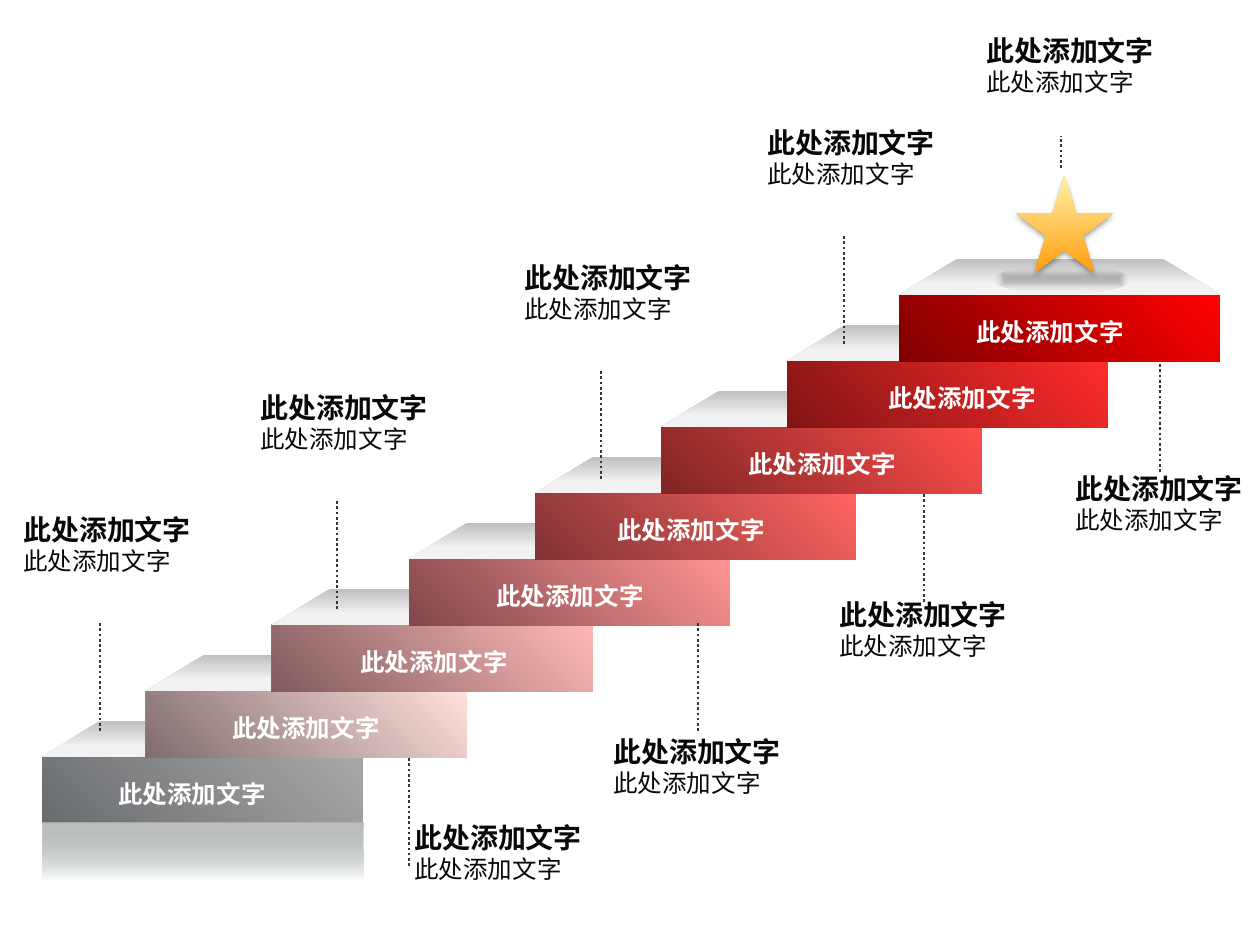
from lxml import etree
from pptx import Presentation
from pptx import util as u
from pptx.dml.color import RGBColor
from pptx.enum import dml, shapes, text
from pptx.oxml import parse_xml
from pptx.oxml.ns import qn

PX = 914400 / 126
NS = 'xmlns:a="http://schemas.openxmlformats.org/drawingml/2006/main"'
FONT = "Noto Sans CJK SC"
WORDS = "此处添加文字"
KIND = shapes.MSO_SHAPE
FACE = [(0, "BFBFBF"), (37, "D9D9D9"), (69, "F2F2F2")]


def px(n):
    return u.Emu(round(n * PX))


def hue(code):
    return RGBColor.from_string(code)


def grade(part, stops, angle=None):
    """Fill with (percent, colour[, alpha]) stops; no angle means centred."""
    marks = ""
    for at, code, *alpha in stops:
        clear = f'<a:alpha val="{alpha[0] * 1000}"/>' if alpha else ""
        marks += f'<a:gs pos="{at * 1000}"><a:srgbClr val="{code}">{clear}</a:srgbClr></a:gs>'
    if angle is None:
        way = ('<a:path path="shape"><a:fillToRect l="50000" t="50000" '
               'r="50000" b="50000"/></a:path>')
    else:
        way = f'<a:lin ang="{angle * 60000}" scaled="0"/>'
    fill = parse_xml(f'<a:gradFill {NS} rotWithShape="1"><a:gsLst>{marks}</a:gsLst>{way}</a:gradFill>')
    part._element.spPr.find(qn("a:prstGeom")).addnext(fill)


def form(slide, kind, box, stops, angle=None, flip=False):
    part = slide.shapes.add_shape(kind, *map(px, box))
    part.shadow.inherit = False
    part.line.fill.background()
    grade(part, stops, angle)
    if flip:
        part._element.spPr.find(qn("a:xfrm")).set("flipH", "1")
    return part


def write(slide, box, lines):
    """Each line is (size, bold, colour)."""
    frame = slide.shapes.add_textbox(*map(px, box)).text_frame
    frame.word_wrap = True
    frame.vertical_anchor = text.MSO_ANCHOR.MIDDLE
    for i, (size, bold, code) in enumerate(lines):
        para = frame.add_paragraph() if i else frame.paragraphs[0]
        run = para.add_run()
        run.text = WORDS
        font = run.font
        font.name, font.size, font.bold = FONT, u.Pt(size), bold
        font.color.rgb = hue(code)
        etree.SubElement(run._r.get_or_add_rPr(), qn("a:ea")).set("typeface", FONT)


def step(slide, x, y, stops):
    # Front, then the tread above it
    form(slide, KIND.RECTANGLE, (x, y, 321, 67), stops, 45, flip=True)
    tread = form(slide, KIND.TRAPEZOID, (x, y - 36, 322, 36), FACE, 90)
    tread.adjustments[0] = 1.609


def prize(slide, x, y):
    form(slide, KIND.OVAL, (x, y + 90, 136, 28), [(24, "000000", 22), (100, "FFFFFF", 0)])
    star = form(slide, KIND.STAR_5_POINT, (x + 22, y, 97, 97),
                [(0, "FF9D0C"), (99, "FFF2A6")], 270)
    glow = parse_xml(
        f'<a:outerShdw {NS} blurRad="{u.Pt(3.1)}" dist="{u.Pt(1.8)}" dir="5400000" '
        'algn="t" rotWithShape="0"><a:srgbClr val="000000"><a:alpha val="35000"/>'
        '</a:srgbClr></a:outerShdw>')
    star._element.spPr.find(qn("a:effectLst")).append(glow)


def note(slide, x, y, dx, top, end):
    """Caption at x, y with a dotted leader placed relative to it."""
    line = slide.shapes.add_connector(
        shapes.MSO_CONNECTOR.STRAIGHT, px(x + dx), px(y + end), px(x + dx), px(y + top))
    line.line.color.rgb = hue("353637")
    line.line.width = u.Pt(1.5)
    line.line.dash_style = dml.MSO_LINE.ROUND_DOT
    etree.SubElement(line._element.spPr, qn("a:effectLst"))
    write(slide, (x, y, 199, 82), [(16, True, "080808"), (14, False, "080808")])


def main():
    deck = Presentation()
    deck.slide_width, deck.slide_height = px(1260), px(945)
    slide = deck.slides.add_slide(deck.slide_layouts[6])

    # Steps: left, label offset, light and dark colour
    steps = [
        (42, 64, "A6A6A6", "696C6F"), (146, 74, "FFE0DD", "806D6E"),
        (272, 76, "FFBAB7", "805A5E"), (409, 75, "FF9494", "80474A"),
        (535, 70, "FF6461", "803234"), (661, 75, "FF4E4B", "802424"),
        (787, 89, "FF2C2C", "801413"), (899, 65, "FF0000", "800000"),
    ]
    base, rise = 757, 66
    for i, (x, _, light, dark) in enumerate(steps):
        stops = [(0, light), (100, dark)]
        if i == 0:
            stops.insert(1, (3, light))
        step(slide, x, base - i * rise, stops)
    for i, (x, dx, _, _) in enumerate(steps):
        write(slide, (x + dx, base - i * rise + 15, 236, 43), [(14, True, "FFFFFF")])

    # Fading base and star
    form(slide, KIND.RECTANGLE, (42, 823, 321, 67),
         [(0, "BFBFBF"), (86, "627274", 0)], 90, flip=True)
    prize(slide, 994, 176)

    # Captions above the stairs, then below
    for x, y in [(11, 503), (248, 381), (512, 251), (755, 116)]:
        note(slide, x, y, 89, 118, 228)
    note(slide, 974, 24, 87, 112, 144)
    for x, y, dx, top in [(402, 811, 7, -54), (601, 725, 97, -103),
                          (827, 588, 97, -95), (1063, 462, 97, -99)]:
        note(slide, x, y, dx, top, top + 109)

    deck.save("out.pptx")


if __name__ == "__main__":
    main()
